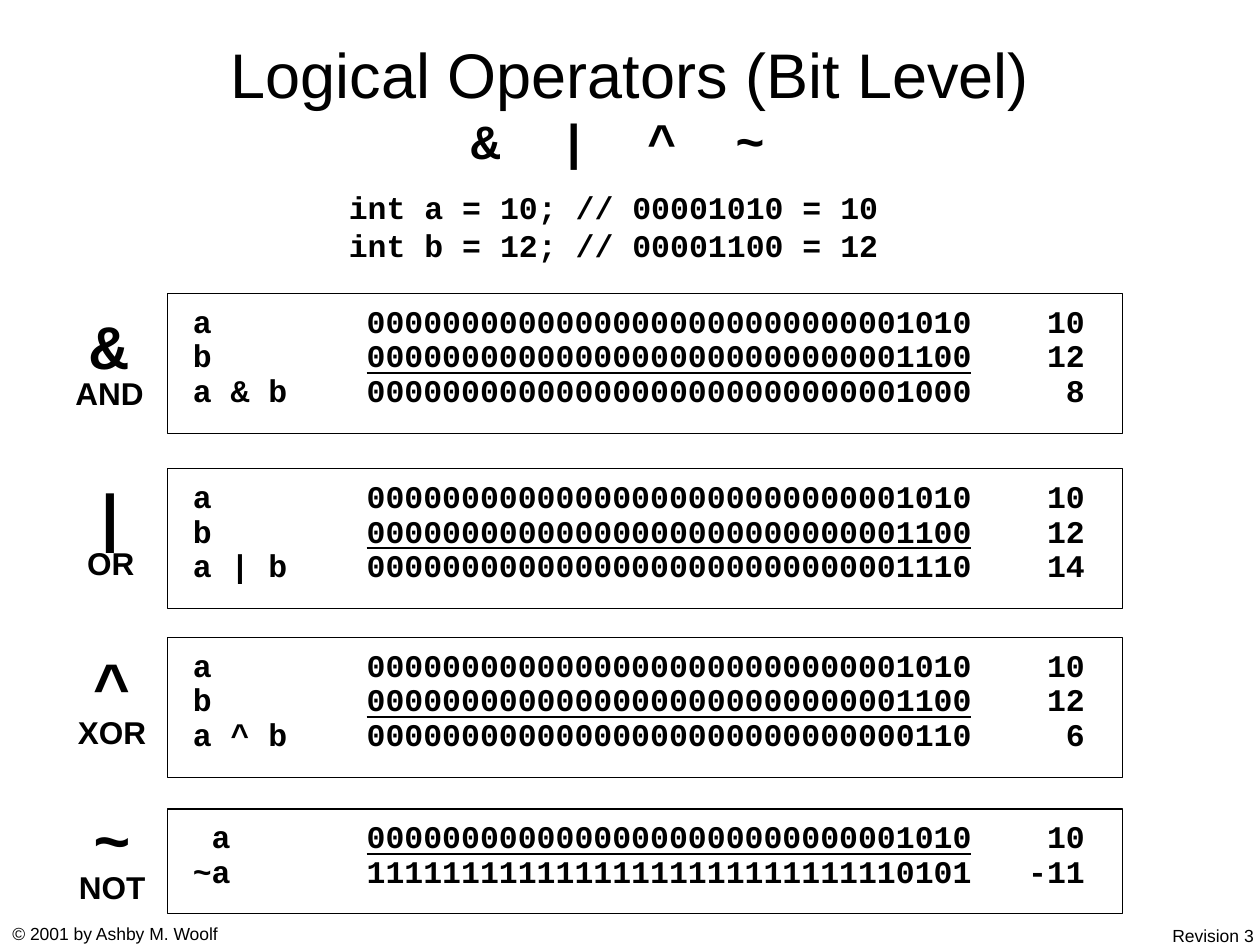
from lxml.etree import SubElement
from pptx import Presentation
from pptx.dml.color import RGBColor
from pptx.enum.shapes import MSO_SHAPE
from pptx.enum.text import MSO_ANCHOR, PP_ALIGN
from pptx.oxml.ns import qn
from pptx.util import Inches, Pt

SANS, MONO = "Arial", "Courier New"
BLACK = "000000"
BOX_LEFT, BOX_WIDTH = 1.33, 7.58
TAB_STOPS = [(1.38, "l"), (7.08, "r")]  # bit column, decimal column
A = "00000000000000000000000000001010"
B = "00000000000000000000000000001100"

# Each operand row: name, bits, decimal value, underlined
OPERANDS = [("a", A, "10", False), ("b", B, "12", True)]

# Symbol, name, label centre, label top, box top, box height, rows
OPERATORS = [
    ("&", "AND", 0.87, 2.5, 2.33, 1.11,
     OPERANDS + [("a & b", "00000000000000000000000000001000", "8", False)]),
    ("|", "OR", 0.88, 3.85, 3.72, 1.11,
     OPERANDS + [("a | b", "00000000000000000000000000001110", "14", False)]),
    ("^", "XOR", 0.89, 5.19, 5.06, 1.11,
     OPERANDS + [("a ^ b", "00000000000000000000000000000110", "6", False)]),
    ("~", "NOT", 0.89, 6.42, 6.42, 0.83,
     [(" a", A, "10", True),
      ("~a", "11111111111111111111111111110101", "-11", False)]),
]


def color(hex_code):
    return RGBColor.from_string(hex_code)


def add_run(p, text, size, font=SANS, bold=False, underline=False):
    r = p.add_run()
    r.text = text
    r.font.size = Pt(size)
    r.font.name = font
    r.font.bold = bold
    r.font.underline = underline
    r.font.color.rgb = color(BLACK)
    return r


def add_paragraph(tf, first, align=PP_ALIGN.LEFT, spacing=None, before=0):
    p = tf.paragraphs[0] if first else tf.add_paragraph()
    p.alignment = align
    if spacing:
        p.line_spacing = spacing
    if before and not first:
        p.space_before = Pt(before)
    return p


def add_text_box(s, left, top, width, height, wrap=False):
    sp = s.shapes.add_textbox(*map(Inches, (left, top, width, height)))
    sp.text_frame.word_wrap = wrap
    return sp.text_frame


def set_tabs(p):
    tabs = SubElement(p._p.get_or_add_pPr(), qn("a:tabLst"))
    for pos, align in TAB_STOPS:
        SubElement(tabs, qn("a:tab"), pos=str(Inches(pos)), algn=align)


def add_title(s):
    tf = add_text_box(s, 0.75, 0.42, 8.5, 0.92, wrap=True)
    tf.vertical_anchor = MSO_ANCHOR.MIDDLE
    p = add_paragraph(tf, True, PP_ALIGN.CENTER, 0.8)
    add_run(p, "Logical Operators (Bit Level)", 36)
    p.add_line_break()
    add_run(p, " ", 28)
    for i, operator in enumerate(OPERATORS):
        if i:  # letter spacing widens the gap by one character
            gap = add_run(p, " ", 28, MONO, True)
            gap.font._element.set("spc", "1680")
        add_run(p, operator[0], 28, MONO, True)
    add_run(p, " ", 36, MONO, True)


def add_declarations(s):
    tf = add_text_box(s, 2.67, 1.5, 4.92, 0.67, wrap=True)
    lines = ("int a = 10; // 00001010 = 10", "int b = 12; // 00001100 = 12")
    for i, line in enumerate(lines):
        p = add_paragraph(tf, i == 0, spacing=0.8, before=4.5)
        add_run(p, line, 18, MONO, True)


def add_example(s, top, height, rows):
    sp = s.shapes.add_shape(MSO_SHAPE.RECTANGLE,
                            *map(Inches, (BOX_LEFT, top, BOX_WIDTH, height)))
    sp.shadow.inherit = False
    sp.fill.background()
    sp.line.color.rgb = color(BLACK)
    sp.line.width = Pt(0.75)
    tf = sp.text_frame
    tf.word_wrap = True
    tf.vertical_anchor = MSO_ANCHOR.TOP
    tf.margin_left = tf.margin_right = Inches(0.2)
    tf.margin_top = tf.margin_bottom = Inches(0.15)
    for i, (name, bits, value, underline) in enumerate(rows):
        p = add_paragraph(tf, i == 0, spacing=0.7, before=4.5)
        set_tabs(p)
        add_run(p, name + "\t", 18, MONO, True)
        add_run(p, bits, 18, MONO, True, underline)
        add_run(p, "\t" + value, 18, MONO, True)


def add_label(s, symbol, name, center, top):
    width = 0.74
    tf = add_text_box(s, center - width / 2, top, width, 0.82)
    for i, (text, size, font) in enumerate([(symbol, 36, MONO),
                                            (name, 18, SANS)]):
        p = add_paragraph(tf, i == 0, PP_ALIGN.CENTER, 0.8)
        add_run(p, text, size, font, True)


def add_footer(s, text, left, top, width, align):
    tf = add_text_box(s, left, top, width, 0.27, wrap=True)
    tf.margin_right = Inches(0.05)
    add_run(add_paragraph(tf, True, align), text, 10)


def main():
    prs = Presentation()
    prs.slide_width, prs.slide_height = Inches(10), Inches(7.5)
    s = prs.slides.add_slide(prs.slide_layouts[6])

    # Footer
    add_footer(s, "© 2001 by Ashby M. Woolf", 0, 7.28, 1.9, PP_ALIGN.LEFT)
    add_footer(s, "Revision 3", 9.1, 7.29, 0.9, PP_ALIGN.RIGHT)

    # Heading and variables
    add_title(s)
    add_declarations(s)

    # One worked example per operator
    for symbol, name, center, label_top, top, height, rows in OPERATORS:
        add_example(s, top, height, rows)
        add_label(s, symbol, name, center, label_top)

    prs.save("out.pptx")


if __name__ == "__main__":
    main()
